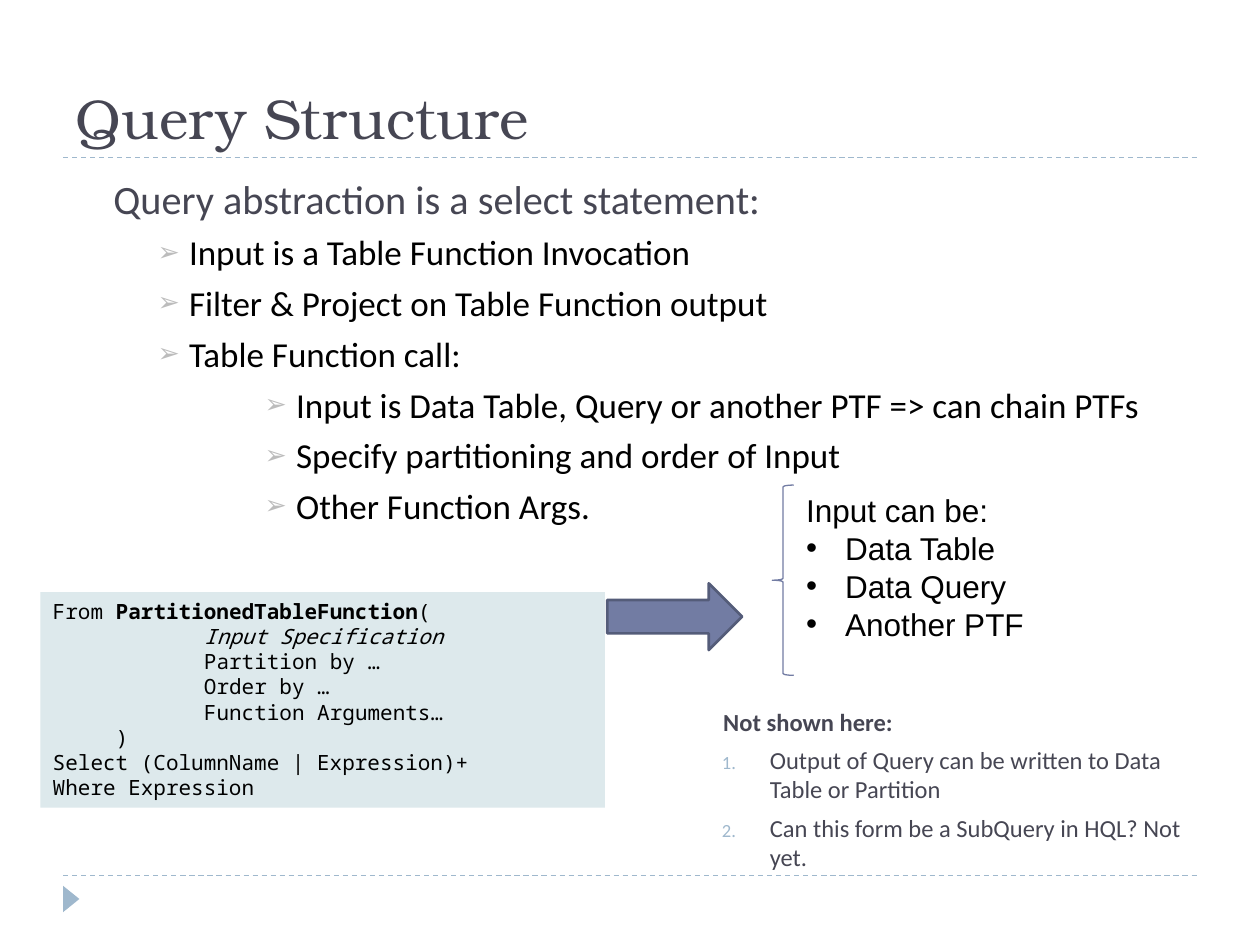
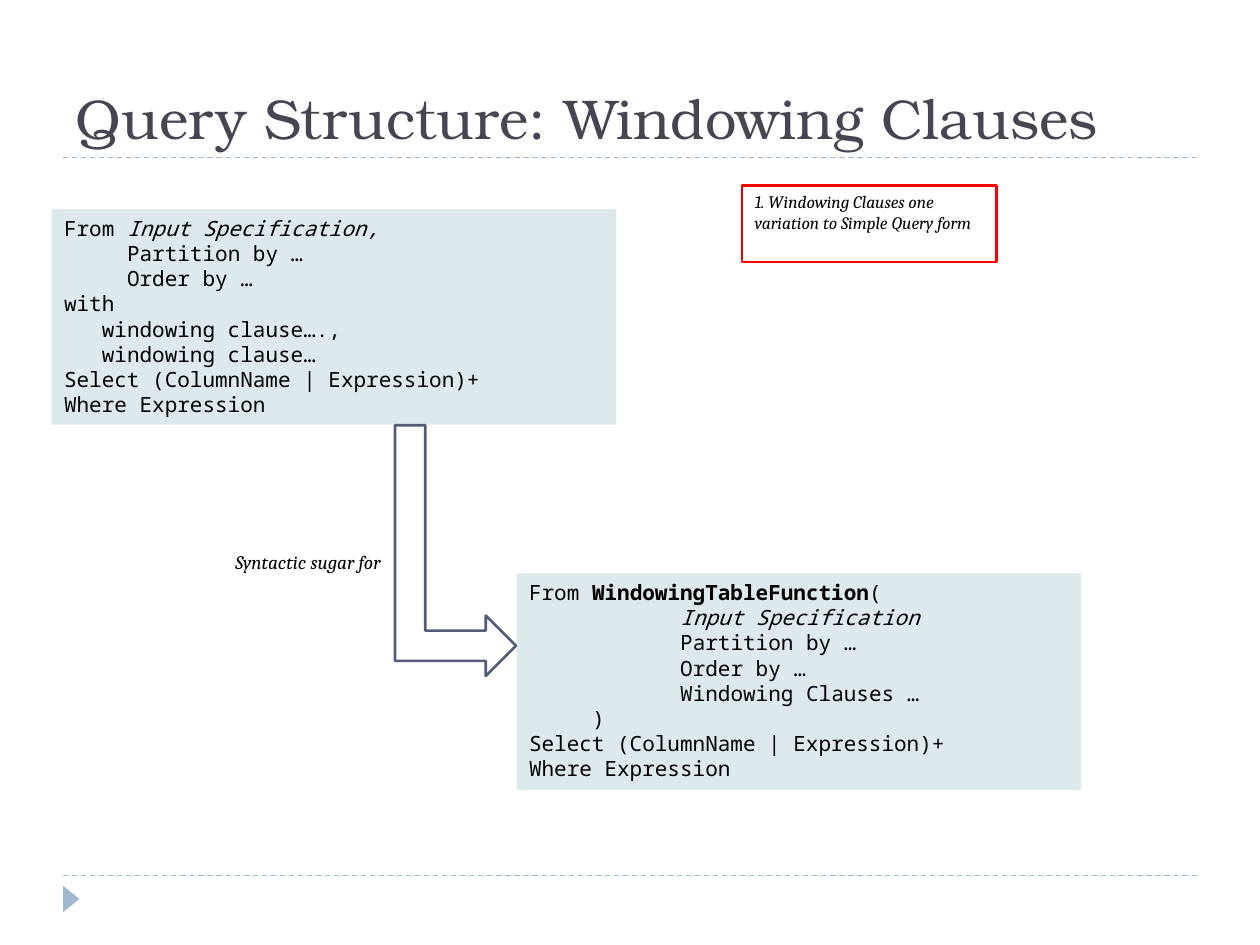
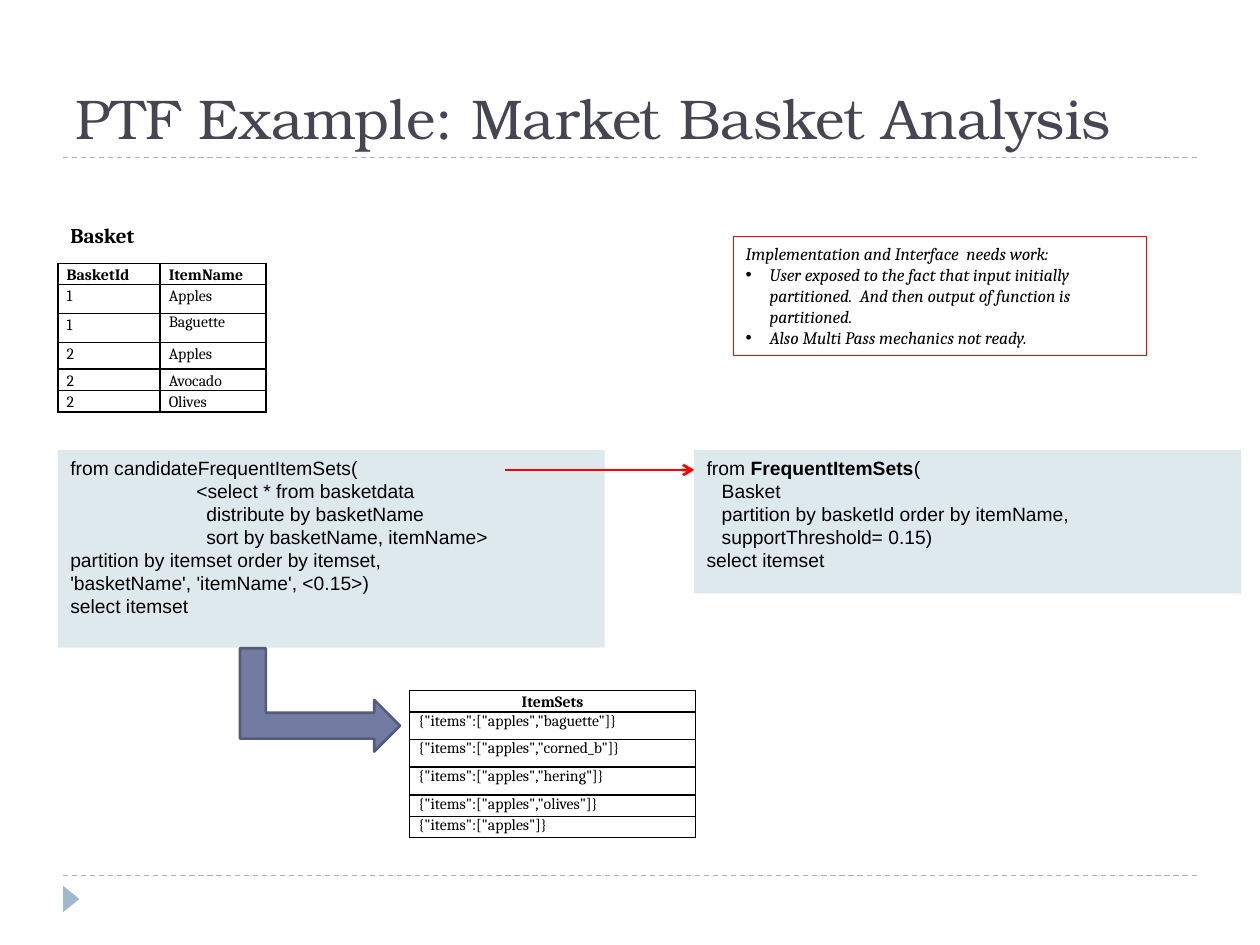
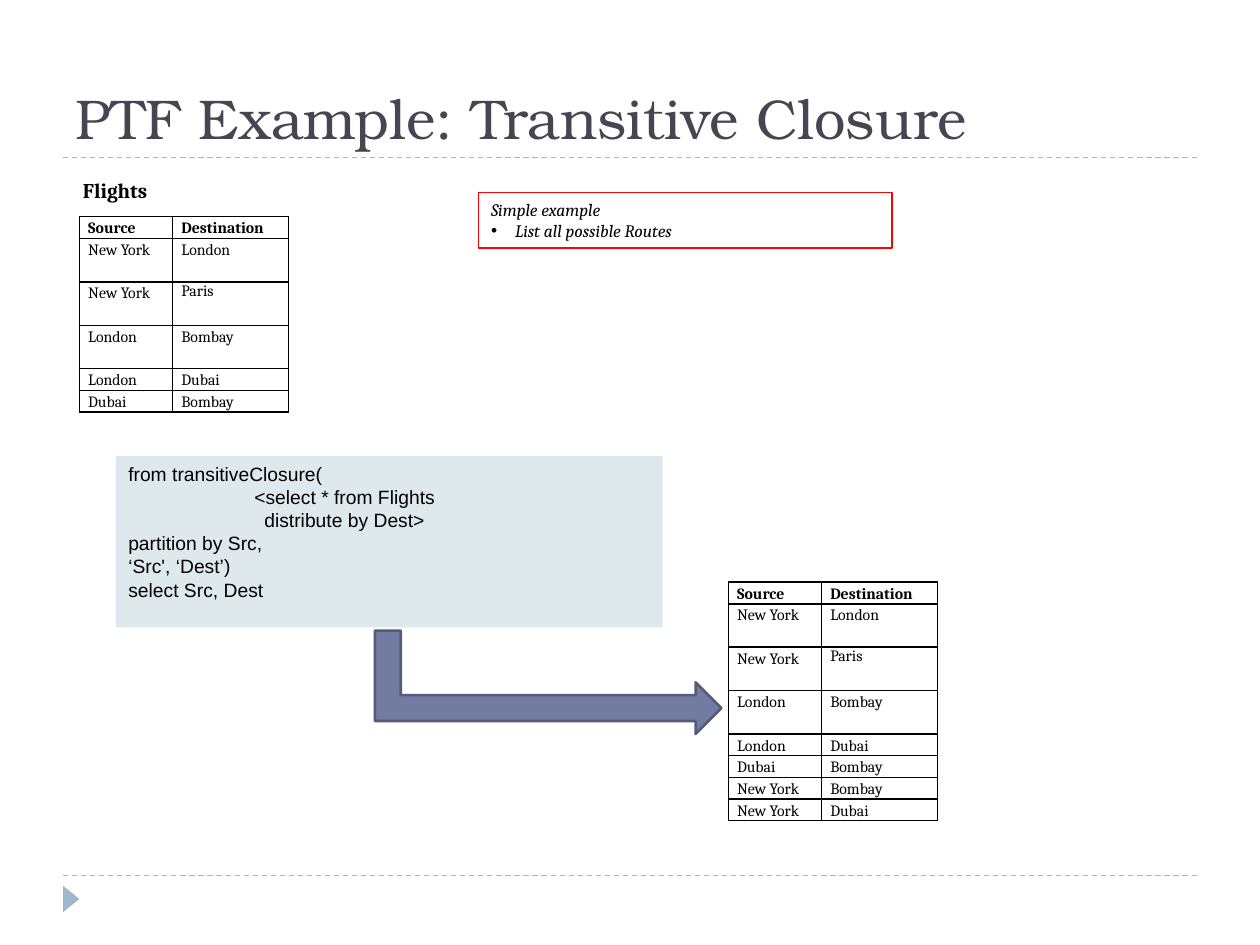
from dataclasses import dataclass

from lxml import etree
from pptx import Presentation, util as u
from pptx.dml.color import RGBColor
from pptx.enum import dml, shapes, text
from pptx.oxml.ns import qn

COLUMNS, ROWS = 100, 75
WIDTH, HEIGHT = u.Inches(10), u.Inches(7.5)
INK, BLACK, WHITE, RED = "464653", "000000", "FFFFFF", "FF0000"
PALE, SKY, INDIGO, EDGE, GREY = "DDE9EC", "9FB8CD", "727CA3", "545C79", "BCBCBC"
TITLE_FONT, CODE_FONT = "TeX Gyre Bonum", "Noto Sans Mono"
TITLE_ONLY, TWO_CONTENT = 5, 3
MONO_CHARACTER = 0.1
ARIAL_SPACE = 0.04
TAB = 1.0
SELECT_LINES = ["Select (ColumnName | Expression)+", "Where Expression"]


@dataclass
class Line:
    runs: tuple
    margin: float = 0
    hanging: float = 0
    bullet: str = ""
    bullet_color: str = ""
    level: int = 0
    before: float = 0
    after: float = 0
    spacing: float = 1
    size: float = 0
    color: str = ""
    align: object = text.PP_ALIGN.LEFT


def color(value):
    return RGBColor.from_string(value)


def across(columns):
    return round(WIDTH * columns / COLUMNS)


def down(rows):
    return round(HEIGHT * rows / ROWS)


def box(left, top, width, height):
    return across(left), down(top), across(width), down(height)


def place(shape, *cells):
    shape.left, shape.top, shape.width, shape.height = box(*cells)


def bold(words):
    return words, "bold"


def italic(words):
    return words, "italic"


def indented(characters, *runs):
    return Line(runs, margin=characters * MONO_CHARACTER)


def shifted(inches, words):
    return Line((words,), margin=inches)


def bulleted(words, hanging):
    return Line((words,), margin=hanging, hanging=hanging, bullet="•")


def arrow_item(words, level, margin):
    return Line((words,), margin=margin, hanging=0.25, bullet="➢", bullet_color=GREY,
                level=level, before=5, size=20, color=BLACK)


def numbered(words):
    return Line((words,), margin=0.45, hanging=0.38, bullet="number",
                bullet_color=SKY, before=5)


def set_bullet(paragraph, line):
    properties = paragraph._p.get_or_add_pPr()
    properties.set("marL", str(u.Inches(line.margin)))
    properties.set("indent", str(-u.Inches(line.hanging)))
    if not line.bullet:
        etree.SubElement(properties, qn("a:buNone"))
        return
    if line.bullet_color:
        holder = etree.SubElement(properties, qn("a:buClr"))
        etree.SubElement(holder, qn("a:srgbClr"), val=line.bullet_color)
        etree.SubElement(properties, qn("a:buSzPct"), val="76000")
    if line.bullet == "number":
        etree.SubElement(properties, qn("a:buAutoNum"), type="arabicPeriod")
    else:
        etree.SubElement(properties, qn("a:buFont"), typeface="Arial")
        etree.SubElement(properties, qn("a:buChar"), char=line.bullet)


def write(frame, lines, font, size, ink=BLACK, emphasis=""):
    for number, line in enumerate(lines):
        if isinstance(line, str):
            line = Line((line,))
        paragraph = frame.add_paragraph() if number else frame.paragraphs[0]
        paragraph.level = line.level
        paragraph.alignment = line.align
        paragraph.line_spacing = line.spacing
        paragraph.space_before = u.Pt(line.before)
        paragraph.space_after = u.Pt(line.after)
        set_bullet(paragraph, line)
        for part in line.runs:
            words, style = (part, emphasis) if isinstance(part, str) else part
            run = paragraph.add_run()
            run.text = words
            run.font.name = font
            run.font.size = u.Pt(line.size or size)
            run.font.color.rgb = color(line.color or ink)
            run.font.bold = style == "bold"
            run.font.italic = style == "italic"


def prepare(frame):
    frame.word_wrap = True
    frame.auto_size = text.MSO_AUTO_SIZE.NONE
    frame.vertical_anchor = text.MSO_ANCHOR.TOP
    return frame


def add_preset(slide, preset, cells, fill=None, line=None, weight=1.5):
    shape = slide.shapes.add_shape(preset, *box(*cells))
    shape.shadow.inherit = False
    if fill:
        shape.fill.solid()
        shape.fill.fore_color.rgb = color(fill)
    else:
        shape.fill.background()
    if line:
        shape.line.color.rgb = color(line)
        shape.line.width = u.Pt(weight)
    else:
        shape.line.fill.background()
    return shape


def add_panel(slide, cells, lines, font, size, emphasis="", **look):
    shape = add_preset(slide, shapes.MSO_SHAPE.RECTANGLE, cells, **look)
    write(prepare(shape.text_frame), lines, font, size, emphasis=emphasis)


def add_code(slide, cells, lines, font=CODE_FONT, size=12):
    add_panel(slide, cells, lines, font, size, fill=PALE)


def add_note(slide, cells, lines, weight=0.75):
    add_panel(slide, cells, lines, "Cambria", 10, "italic", line=RED, weight=weight)


def add_caption(slide, left, top, words):
    add_panel(slide, (left, top, 10.3, 3.3), [Line((words,), after=10)],
              "Cambria", 12, "bold", fill=WHITE)


def add_text(slide, cells, lines, font, size, emphasis=""):
    shape = slide.shapes.add_textbox(*box(*cells))
    write(prepare(shape.text_frame), lines, font, size, emphasis=emphasis)


def fill_placeholder(placeholder, cells, lines, size):
    place(placeholder, *cells)
    write(prepare(placeholder.text_frame), lines, "Calibri", size, INK)


def add_elbow_arrow(slide, left, top, width, height, fill=INDIGO):
    turned = (left + (width - height) / 2, top + (height - width) / 2, height, width)
    shape = add_preset(slide, shapes.MSO_SHAPE.BENT_UP_ARROW, turned, fill, EDGE)
    shape.rotation = 90


def add_line(slide, start, end, ink, weight, dashed=False, arrow=False):
    connector = slide.shapes.add_connector(
        shapes.MSO_CONNECTOR.STRAIGHT, across(start[0]), down(start[1]),
        across(end[0]), down(end[1]))
    connector.line.color.rgb = color(ink)
    connector.line.width = u.Pt(weight)
    if dashed:
        connector.line.dash_style = dml.MSO_LINE.DASH
    properties = connector.element.spPr
    if arrow:
        etree.SubElement(properties.find(qn("a:ln")), qn("a:tailEnd"), type="arrow")
    etree.SubElement(properties, qn("a:effectLst"))
    return connector


def add_border(cell):
    properties = cell._tc.get_or_add_tcPr()
    for number, side in enumerate(("lnL", "lnR", "lnT", "lnB")):
        line = etree.Element(qn("a:" + side), w=str(u.Pt(1)))
        fill = etree.SubElement(line, qn("a:solidFill"))
        etree.SubElement(fill, qn("a:srgbClr"), val=BLACK)
        properties.insert(number, line)


def add_grid_table(slide, left, top, widths, heights, records, tight=(),
                   header_align=text.PP_ALIGN.LEFT):
    cells = (left, top, sum(widths), sum(heights))
    table = slide.shapes.add_table(len(records), len(widths), *box(*cells)).table
    table.first_row = table.horz_banding = False
    for column, width in zip(table.columns, widths):
        column.width = across(width)
    for number, (row, height, record) in enumerate(zip(table.rows, heights, records)):
        row.height = down(height)
        for cell, words in zip(row.cells, record):
            cell.margin_left = cell.margin_right = u.Inches(0.07)
            cell.margin_top = cell.margin_bottom = 0
            cell.fill.background()
            add_border(cell)
            line = Line((words,), spacing=1 if words in tight else 1.15,
                        align=text.PP_ALIGN.LEFT if number else header_align)
            write(cell.text_frame, [line], "Cambria", 9, emphasis="" if number else "bold")


def add_titled_slide(presentation, title, layout=TITLE_ONLY):
    slide = presentation.slides.add_slide(presentation.slide_layouts[layout])
    write(slide.shapes.title.text_frame, [title], TITLE_FONT, 32, INK)
    return slide


def style_master_title(master):
    title = master.placeholders[0]
    place(title, 5, 2.5, 90, 10)
    title.text_frame.vertical_anchor = text.MSO_ANCHOR.BOTTOM
    title.text_frame.auto_size = text.MSO_AUTO_SIZE.NONE


def decorate_master(master, slide):
    rules = [add_line(slide, (5, row), (95, row), SKY, 0.75, dashed=True)
             for row in (69.5, 12.5)]
    marker = add_preset(slide, shapes.MSO_SHAPE.ISOSCELES_TRIANGLE,
                        (4.6, 70.7, 2.1, 1.3), SKY)
    marker.rotation = 90
    for number, shape in enumerate(rules + [marker], start=20):
        shape.element[0][0].set("id", str(number))
        master.shapes.element.append(shape.element)


def function_query(name, last_argument):
    return [Line(("From ", bold(name), "(")),
            indented(12, italic("Input Specification")),
            indented(12, "Partition by …"),
            indented(12, "Order by …"),
            indented(12, last_argument),
            indented(5, ")"),
            *SELECT_LINES]


def build_query_structure(presentation):
    slide = add_titled_slide(presentation, "Query Structure", TWO_CONTENT)
    decorate_master(presentation.slide_master, slide)
    add_code(slide, (3.2, 47, 44.8, 17.1),
             function_query("PartitionedTableFunction", "Function Arguments…"))
    outline = [Line(("Query abstraction is a select statement:",), margin=0.3,
                    level=1, before=5)]
    outline += [arrow_item(words, 2, 0.9) for words in (
        "Input is a Table Function Invocation",
        "Filter & Project on Table Function output",
        "Table Function call:")]
    outline += [arrow_item(words, 3, 1.75) for words in (
        "Input is Data Table, Query or another PTF => can chain PTFs",
        "Specify partitioning and order of Input",
        "Other Function Args.")]
    fill_placeholder(slide.placeholders[1], (5, 13.3, 90, 30.8), outline, 23)
    add_preset(slide, shapes.MSO_SHAPE.RIGHT_ARROW, (48.2, 46.3, 10.7, 5.3), INDIGO, EDGE)
    add_preset(slide, shapes.MSO_SHAPE.LEFT_BRACE, (61.3, 38.5, 1.7, 15.1),
               line=INDIGO, weight=0.75)
    inputs = [bulleted(words, 0.31) for words in ("Data Table", "Data Query", "Another PTF")]
    add_text(slide, (63, 38.5, 19.5, 13.1), ["Input can be:", *inputs], "Arial", 18)
    remarks = [Line((bold("Not shown here:"),), margin=0.08, before=5),
               numbered("Output of Query can be written to Data Table or Partition"),
               numbered("Can this form be a SubQuery in HQL? Not yet.")]
    fill_placeholder(slide.placeholders[2], (55.6, 55.6, 41.5, 13.8), remarks, 14)


def build_windowing_clauses(presentation):
    slide = add_titled_slide(presentation, "Query Structure: Windowing Clauses")
    add_code(slide, (4.1, 16.6, 44.8, 17.1), [
        Line(("From ", italic("Input Specification,"))),
        indented(5, "Partition by …"),
        indented(5, "Order by …"),
        "with",
        indented(3, "windowing clause….,"),
        indented(3, "windowing clause…"),
        *SELECT_LINES])
    add_code(slide, (41, 45.5, 44.8, 17.2),
             function_query("WindowingTableFunction", "Windowing Clauses …"))
    add_elbow_arrow(slide, 31.35, 33.75, 9.6, 19.9, fill=None)
    add_text(slide, (17.7, 43.2, 14.8, 4.7), ["Syntactic sugar for"], "Cambria", 11, "italic")
    add_note(slide, (58.9, 14.7, 20.2, 6.1),
             ["1. Windowing Clauses one variation to Simple Query form"], 1.5)


def build_market_basket(presentation):
    slide = add_titled_slide(presentation, "PTF Example: Market Basket Analysis")
    add_code(slide, (4.6, 35.7, 43.4, 15.7), [
        "from candidateFrequentItemSets(",
        shifted(TAB, "<select * from basketdata"),
        shifted(TAB + 2 * ARIAL_SPACE, "distribute by basketName"),
        shifted(TAB + 2 * ARIAL_SPACE, "sort by basketName, itemName>"),
        "partition by itemset order by itemset,",
        "'basketName', 'itemName', <0.15>)",
        "select itemset"], "Arial", 11)
    baskets = [("BasketId", "ItemName"), ("1", "Apples"), ("1", "Baguette"),
               ("2", "Apples"), ("2", "Avocado"), ("2", "Olives")]
    add_grid_table(slide, 4.6, 20.9, (8.1, 8.4), (1.7, 2.3, 2.3, 2.1, 1.7, 1.7),
                   baskets, tight=("Baguette",))
    add_caption(slide, 4.6, 17.2, "Basket")
    item_sets = ['{"items":["apples","baguette"]}', '{"items":["apples","corned_b"]}',
                 '{"items":["apples","hering"]}', '{"items":["apples","olives"]}',
                 '{"items":["apples"]}']
    add_grid_table(slide, 32.5, 54.8, (22.7,), (1.7, 2.2, 2.2, 2.2, 1.7, 1.7),
                   [("ItemSets",), *((words,) for words in item_sets)],
                   tight=item_sets, header_align=text.PP_ALIGN.CENTER)
    add_elbow_arrow(slide, 19.05, 51.45, 12.7, 8.2)
    add_note(slide, (58.2, 18.8, 32.8, 9.4), [
        "Implementation and Interface  needs work:",
        bulleted("User exposed to the fact that input initially partitioned.  "
                 "And then output of function is partitioned.", 0.19),
        bulleted("Also Multi Pass mechanics not ready.", 0.19)])
    add_code(slide, (55.1, 35.7, 43.4, 11.4), [
        Line(("from ", bold("FrequentItemSets"), "(")),
        *(shifted(3 * ARIAL_SPACE, words) for words in (
            "Basket", "partition by basketId order by itemName,",
            "supportThreshold= 0.15)")),
        "select itemset"], "Arial", 11)
    add_line(slide, (40.1, 37.3), (55.1, 37.3), RED, 1.5, arrow=True)


def build_transitive_closure(presentation):
    slide = add_titled_slide(presentation, "PTF Example: Transitive Closure")
    add_code(slide, (9.2, 36.2, 43.4, 13.6), [
        "from transitiveClosure(",
        shifted(TAB, "<select * from Flights"),
        shifted(TAB + 2 * ARIAL_SPACE, "distribute by Dest>"),
        "partition by Src,",
        "‘Src', ‘Dest’)",
        "select Src, Dest"], "Arial", 11)
    flights = [("Source", "Destination"), ("New York", "London"), ("New York", "Paris"),
               ("London", "Bombay"), ("London", "Dubai"), ("Dubai", "Bombay")]
    routes = flights + [("New York", "Bombay"), ("New York", "Dubai")]
    for left, top, records in ((6.3, 17.2, flights), (57.8, 46.2, routes)):
        heights = [3.45 if 1 <= number <= 3 else 1.72 for number in range(len(records))]
        add_grid_table(slide, left, top, (7.4, 9.2), heights, records, tight=("Paris",))
    add_caption(slide, 5.6, 13.6, "Flights")
    add_elbow_arrow(slide, 29.75, 50.05, 27.5, 8.2)
    add_note(slide, (38, 15.3, 32.8, 4.4),
             ["Simple example", bulleted("List all possible Routes", 0.19)])


def main():
    presentation = Presentation()
    presentation.slide_width, presentation.slide_height = WIDTH, HEIGHT
    style_master_title(presentation.slide_master)
    build_query_structure(presentation)
    build_windowing_clauses(presentation)
    build_market_basket(presentation)
    build_transitive_closure(presentation)
    presentation.save("out.pptx")


if __name__ == "__main__":
    main()
